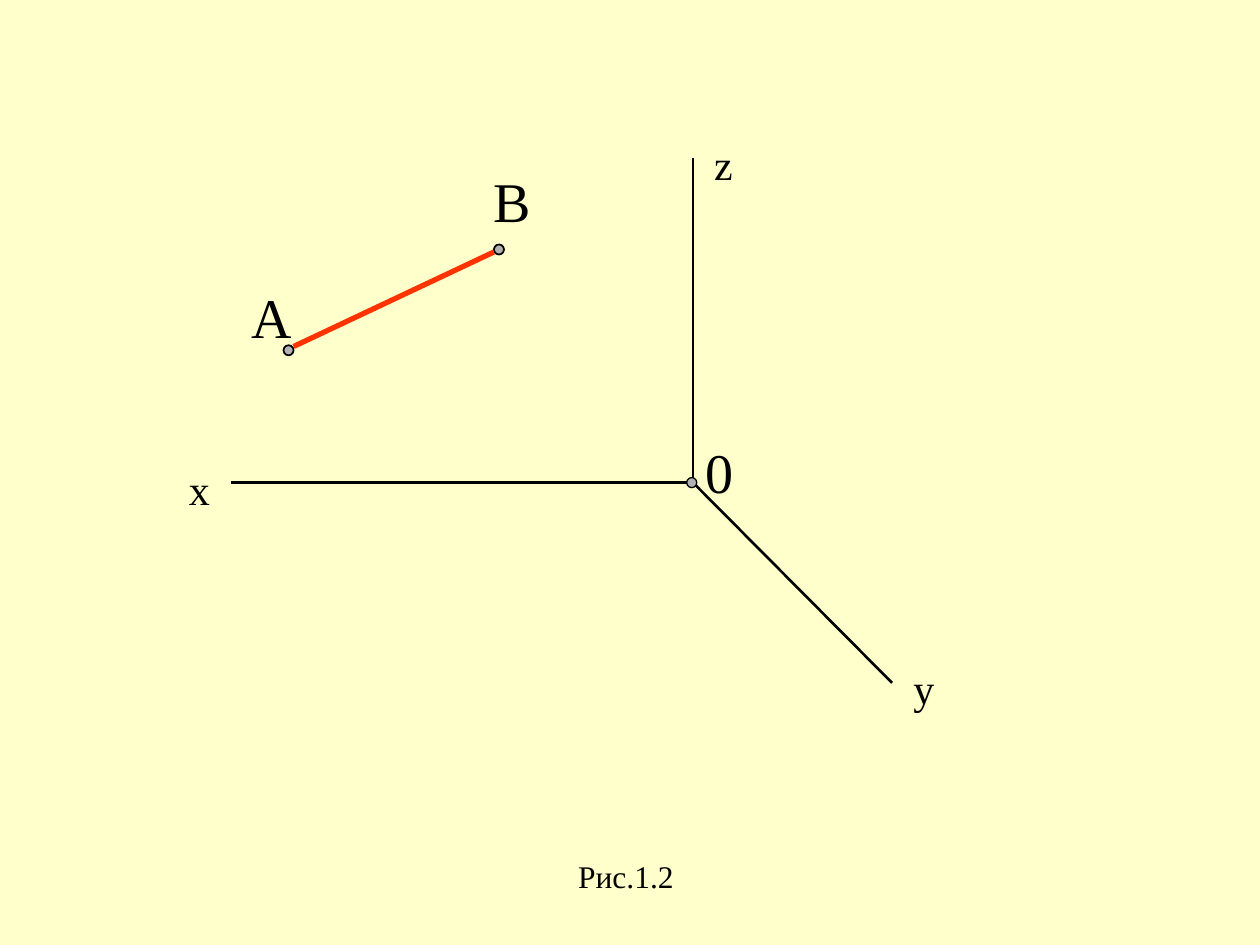
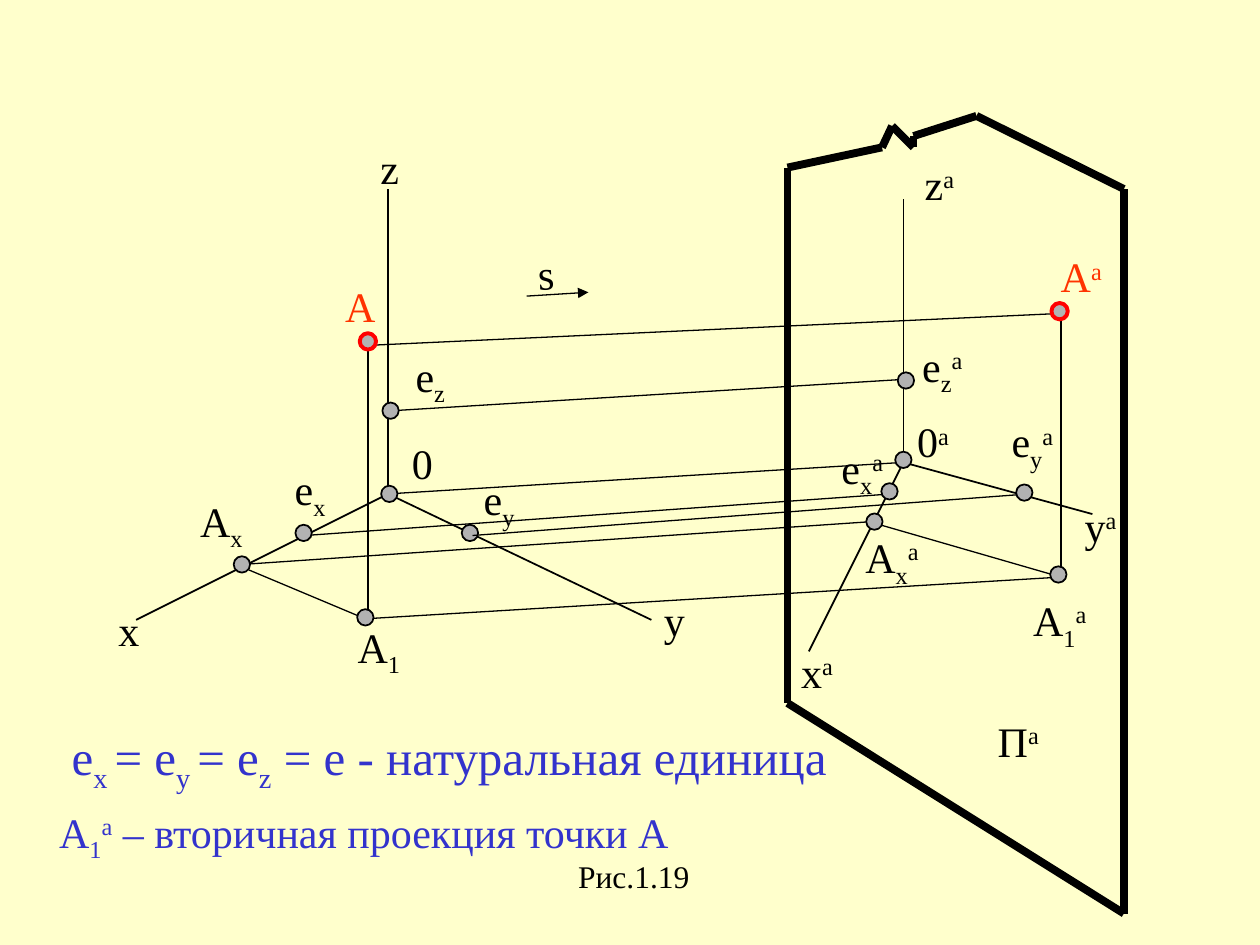
from itertools import pairwise

from lxml import etree
from pptx import Presentation
from pptx.dml.color import RGBColor
from pptx.enum.shapes import MSO_CONNECTOR, MSO_SHAPE
from pptx.enum.text import MSO_AUTO_SIZE
from pptx.oxml.ns import qn
from pptx.util import Inches, Pt

STRAIGHT = MSO_CONNECTOR.STRAIGHT
OVAL = MSO_SHAPE.OVAL
GROW = MSO_AUTO_SIZE.SHAPE_TO_FIT_TEXT

# Shared look; the slide is a grid of 10 columns by 7.5 rows
SLIDE_W, SLIDE_H = Inches(10), Inches(7.5)
COL, ROW = SLIDE_W / 10, SLIDE_H / 7.5
BLANK = 6
FONT = "Times New Roman"
SLACK = 0.03  # spare width that keeps each label on one line
COLORS = {
    "paper": "FFFFCC",
    "ink": "000000",
    "dot": "B2B2B2",
    "segment": "FF3300",
    "ring": "FF0000",
    "formula": "3333CC",
}
# Marks in label text: subscript, superscript, back to normal
BASELINES = {"_": "-25000", "^": "30000", "|": None}


def color(name):
    return RGBColor.from_string(COLORS[name])


def cell(point):
    return round(point[0] * COL), round(point[1] * ROW)


def add_slide(prs):
    slide = prs.slides.add_slide(prs.slide_layouts[BLANK])
    slide.background.fill.solid()
    slide.background.fill.fore_color.rgb = color("paper")
    return slide


def add_line(slide, start, end, weight=0.75, ink="ink", arrow=False):
    line = slide.shapes.add_connector(STRAIGHT, *cell(start), *cell(end))
    line.line.width = Pt(weight)
    line.line.color.rgb = color(ink)
    if arrow:
        etree.SubElement(line.line._get_or_add_ln(), qn("a:tailEnd"), type="triangle")
    etree.SubElement(line._element.spPr, qn("a:effectLst"))


def add_dot(slide, center, size=0.13, weight=1, ink="ink"):
    corner = center[0] - size / 2, center[1] - size / 2
    dot = slide.shapes.add_shape(OVAL, *cell(corner), *cell((size, size)))
    dot.shadow.inherit = False
    dot.fill.solid()
    dot.fill.fore_color.rgb = color("dot")
    dot.line.color.rgb = color(ink)
    dot.line.width = Pt(weight)


def split_baselines(text):
    """Cut marked text into (piece, baseline) pairs."""
    pieces = [["", None]]
    for char in text:
        if char in BASELINES:
            pieces.append(["", BASELINES[char]])
        else:
            pieces[-1][0] += char
    return pieces


def add_text(slide, text, left, top, width, size=24, ink="ink", rotation=0):
    height = size / 60 + 0.1 + (0.06 if "_" in text else 0)
    box = slide.shapes.add_textbox(*cell((left, top)), *cell((width + SLACK, height)))
    box.rotation = rotation
    frame = box.text_frame
    frame.word_wrap = False
    frame.auto_size = GROW
    for piece, baseline in split_baselines(text):
        run = frame.paragraphs[0].add_run()
        run.text = piece
        run.font.name = FONT
        run.font.size = Pt(size)
        run.font.color.rgb = color(ink)
        if baseline:
            run._r.get_or_add_rPr().set("baseline", baseline)


def add_axes(slide, origin, tips, weight):
    for tip in tips:
        add_line(slide, origin, tip, weight)


def add_caption(slide, text, width):
    add_text(slide, text, 4.49, 6.75, width, size=18)


def build_segment_slide(prs):
    slide = add_slide(prs)
    origin = (5.5, 3.83)
    add_axes(slide, origin, [(1.83, 3.83), (7.08, 5.42), (5.5, 1.25)], 1.5)

    # Segment AB and the origin
    for end in [(2.29, 2.78), (3.96, 1.98)]:
        add_dot(slide, end, size=0.08)
    add_line(slide, (2.33, 2.75), (3.92, 2), 3, "segment")
    add_dot(slide, (5.49, 3.83), size=0.08, weight=0.75)

    for name, left, top, width in [("z", 5.57, 1.05, 0.35), ("y", 7.15, 5.21, 0.36),
                                   ("x", 1.4, 3.63, 0.36)]:
        add_text(slide, name, left, top, width)
    for name, left, top, width in [("0", 5.5, 3.42, 0.42), ("A", 1.9, 2.19, 0.52),
                                   ("B", 3.82, 1.27, 0.49)]:
        add_text(slide, name, left, top, width, size=32)
    add_caption(slide, "Рис.1.2", 0.96)


def build_projection_slide(prs):
    slide = add_slide(prs)

    # Axes in space and their projections
    add_axes(slide, (3.08, 3.92), [(3.08, 1.5), (1.08, 4.92), (5.17, 4.92)], 1)
    add_axes(slide, (7.17, 3.67), [(7.17, 1.58), (6.42, 5.17), (8.67, 4.08)], 1)

    # Outline of the projection plane with its break at the top
    plane = [(6.25, 1.33), (6.25, 5.58), (8.92, 7.25), (8.92, 1.5), (7.75, 0.92),
             (7.25, 1.08), (7.25, 1.17), (7.08, 1), (7, 1.17)]
    for start, end in pairwise(plane + plane[:1]):
        add_line(slide, start, end, 4.5)

    # The ray from e_y runs over its dot
    add_dot(slide, (3.73, 4.23))

    # Projecting rays, then the coordinate lines of A and its projection
    rays = [((3.08, 3.92), (7.17, 3.67)), ((1.92, 4.48), (6.92, 4.14)),
            ((2.92, 4.91), (8.42, 4.58)), ((2.95, 2.74), (8.37, 2.49)),
            ((3.75, 4.25), (8.17, 3.92)), ((7.08, 3.92), (2.42, 4.25)),
            ((3.11, 3.26), (7.19, 3.01))]
    coordinates = [((1.92, 4.5), (2.92, 4.92)), ((2.92, 4.91), (2.92, 2.77)),
                   ((7, 4.17), (8.42, 4.58)), ((8.42, 2.52), (8.42, 4.55))]
    for start, end in rays + coordinates:
        add_line(slide, start, end)

    space_dots = [(3.09, 3.92), (2.9, 4.9), (2.41, 4.23), (1.92, 4.48), (3.1, 3.26)]
    plane_dots = [(7.17, 3.65), (6.94, 4.14), (8.13, 3.91), (7.06, 3.9),
                  (7.19, 3.02), (8.4, 4.56)]
    for center in space_dots + plane_dots:
        add_dot(slide, center)
    for center in [(2.92, 2.71), (8.41, 2.47)]:
        add_dot(slide, center, weight=2.25, ink="ring")

    # Names of axes and points
    space_names = [("х", 0.84, 4.75, 0.36), ("z", 2.92, 1.08, 0.35),
                   ("y", 5.17, 4.67, 0.36), ("0", 3.17, 3.42, 0.36),
                   ("A_1", 2.74, 4.88, 0.54), ("A_x", 1.49, 3.88, 0.54),
                   ("e_x", 2.24, 3.63, 0.44), ("e_y", 3.74, 3.71, 0.44),
                   ("e_z", 3.2, 2.73, 0.43)]
    plane_names = [("z^a", 7.24, 1.21, 0.43), ("y^a", 8.51, 3.92, 0.45),
                   ("x^a", 6.26, 5.08, 0.45), ("0^a", 7.18, 3.25, 0.45),
                   ("A_1^a", 8.1, 4.67, 0.62), ("A_x^a", 6.77, 4.17, 0.62),
                   ("e_z^a", 7.22, 2.65, 0.52), ("e_y^a", 7.93, 3.25, 0.53),
                   ("e_x^a", 6.58, 3.46, 0.53), ("П^a", 7.82, 5.63, 0.52)]
    for name, left, top, width in space_names + plane_names:
        add_text(slide, name, left, top, width)
    add_text(slide, "A", 2.64, 2.18, 0.44, ink="segment")
    add_text(slide, "A^a", 8.32, 1.94, 0.52, ink="segment")

    # Direction of projection
    add_line(slide, (4.18, 2.35), (4.67, 2.32), arrow=True)
    add_text(slide, "s", 4.17, 1.92, 0.33, rotation=357)

    # Formulas and caption
    add_text(slide, "е_х |= е_у |= е_z| = е - натуральная единица",
             0.47, 5.72, 6.21, size=28, ink="formula")
    add_text(slide, "А_1^а| – вторичная проекция точки А",
             0.37, 6.35, 5.06, ink="formula")
    add_caption(slide, "Рис.1.19", 1.08)


def main():
    prs = Presentation()
    prs.slide_width, prs.slide_height = SLIDE_W, SLIDE_H
    build_segment_slide(prs)
    build_projection_slide(prs)
    prs.save("out.pptx")


if __name__ == "__main__":
    main()
